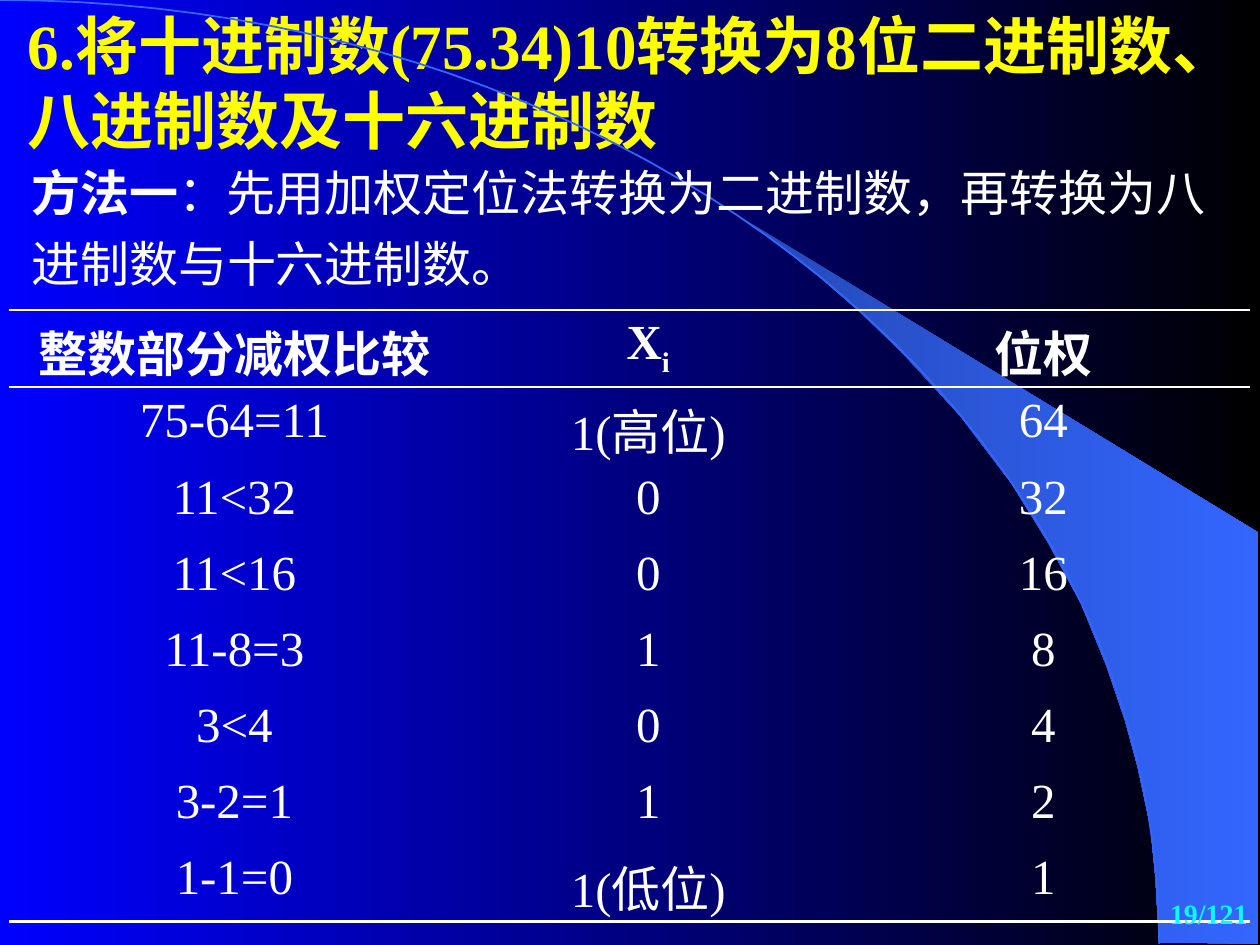
"""Build a slide that converts a decimal number by comparing place weights."""
from lxml import etree
from pptx import Presentation
from pptx.dml.color import RGBColor
from pptx.enum import text as t
from pptx.oxml import ns
from pptx.util import Inches, Pt

WHITE = RGBColor(255, 255, 255)
BLACK = RGBColor(0, 0, 0)
BLUE = RGBColor(0, 0, 255)
SKY = RGBColor(0x33, 0x66, 0xFF)
NAVY = RGBColor(0x24, 0x49, 0xB6)
YELLOW = RGBColor(255, 255, 0)
CYAN = RGBColor(0, 255, 255)
SERIF = "Times New Roman"
SANS = "Noto Sans CJK SC"
PLAIN = "{2D5ABB26-0587-4C30-8999-92F81FD0307C}"

BEAM = [(9.2, 7.48), (9.99, 7.49), (9.99, 4.23), (5.89, 1.73), (6.24, 1.99),
        (6.53, 2.22), (6.85, 2.5), (7.16, 2.8), (7.62, 3.3), (8.03, 3.84),
        (8.32, 4.31), (8.58, 4.79), (8.78, 5.28), (8.93, 5.72), (9.03, 6.09),
        (9.13, 6.56), (9.17, 6.96)]
CURVE = [(0, 0), (5.08, 0), (9.2, 3.35), (9.2, 7.49)]
COLS = [3.58, 2.99, 3.28]
ROWS = [("整数部分减权比较", "X", "位权"),
        ("75-64=11", "1(高位)", "64"),
        ("11<32", "0", "32"),
        ("11<16", "0", "16"),
        ("11-8=3", "1", "8"),
        ("3<4", "0", "4"),
        ("3-2=1", "1", "2"),
        ("1-1=0", "1(低位)", "1")]


def bezier(ends, steps=48):
    """Return points along a cubic curve."""
    def at(k, axis):
        a, b, c, d = (p[axis] for p in ends)
        m = 1 - k
        return a * m**3 + 3 * b * m * m * k + 3 * c * m * k * k + d * k**3
    return [(at(i / steps, 0), at(i / steps, 1)) for i in range(steps + 1)]


class Deck:
    """Hold the style and the current slide."""

    def __init__(self):
        self.prs = Presentation()
        self.prs.slide_width, self.prs.slide_height = Inches(10), Inches(7.5)
        self.slide = self.prs.slides.add_slide(self.prs.slide_layouts[5])
        self.shade(self.slide.background.fill, BLUE, BLACK)

    def shade(self, fill, first, last):
        """Fill with a gradient from left to right."""
        fill.gradient()
        fill.gradient_angle = 0
        for stop, color, pos in zip(fill.gradient_stops, (first, last), (0, 1)):
            stop.color.rgb, stop.position = color, pos

    def style(self, para, size, color, bold=None, face=SERIF, align=t.PP_ALIGN.LEFT):
        """Format one paragraph."""
        para.alignment = align
        font = para.font
        font.name, font.size, font.bold = face, Pt(size), bold
        font.color.rgb = color

    def place(self, shape, box, anchor=t.MSO_ANCHOR.TOP):
        """Set the box of a shape and return its first paragraph."""
        shape.left, shape.top, shape.width, shape.height = map(Inches, box)
        frame = shape.text_frame
        frame.word_wrap, frame.auto_size = True, t.MSO_AUTO_SIZE.NONE
        frame.vertical_anchor = anchor
        return frame.paragraphs[0]

    def title(self, words, box):
        """Fill the title placeholder."""
        para = self.place(self.slide.shapes.title, box)
        para.text = words
        self.style(para, 36, YELLOW, True)

    def text(self, runs, box, size, color, anchor=t.MSO_ANCHOR.TOP, space=None, **look):
        """Add a text box of (words, bold) runs."""
        para = self.place(self.slide.shapes.add_textbox(0, 0, 0, 0), box, anchor)
        para.line_spacing = space
        for words, bold in runs:
            run = para.add_run()
            run.text, run.font.bold = words, bold
        self.style(para, size, color, **look)

    def shape(self, points, closed):
        """Add an outline through points."""
        spots = [(Inches(x), Inches(y)) for x, y in points]
        draw = self.slide.shapes.build_freeform(*spots[0])
        draw.add_line_segments(spots[1:], close=closed)
        form = draw.convert_to_shape()
        form.shadow.inherit = False
        return form

    def beam(self, points):
        """Add the shaded beam."""
        form = self.shape(points, True)
        self.shade(form.fill, NAVY, SKY)
        form.line.fill.background()

    def arc(self, ends):
        """Add the thin curve."""
        form = self.shape(bezier(ends), False)
        form.fill.background()
        form.line.color.rgb, form.line.width = SKY, Pt(1)

    def rule(self, cell, sides):
        """Draw white borders on the given sides of a cell and clear the rest."""
        props = cell._tc.get_or_add_tcPr()
        for spot, side in enumerate("LRTB"):
            line = etree.Element(ns.qn(f"a:ln{side}"), w=str(Pt(1.5)))
            if side in sides:
                fill = etree.SubElement(line, ns.qn("a:solidFill"))
                etree.SubElement(fill, ns.qn("a:srgbClr"), val=str(WHITE))
            else:
                etree.SubElement(line, ns.qn("a:noFill"))
            props.insert(spot, line)

    def table(self, rows, cols, box):
        """Add the table of weights."""
        grid = self.slide.shapes.add_table(len(rows), len(cols), *map(Inches, box)).table
        grid.first_row = grid.horz_banding = False
        grid._tbl.tblPr.find(ns.qn("a:tableStyleId")).text = PLAIN
        for col, width in zip(grid.columns, cols):
            col.width = Inches(width)
        sides = {0: "TB", 1: "T", len(rows) - 1: "B"}
        for r, row in enumerate(rows):
            for c, words in enumerate(row):
                cell = grid.cell(r, c)
                cell.fill.background()
                cell.margin_bottom = 0
                para = cell.text_frame.paragraphs[0]
                para.text = words
                self.style(para, 28, WHITE, r == 0, align=t.PP_ALIGN.CENTER)
                self.rule(cell, sides.get(r, ""))
        sub = grid.cell(0, 1).text_frame.paragraphs[0].add_run()
        sub.text = "i"
        sub.font._element.set("baseline", "-25000")


def main():
    """Build and save the slide."""
    deck = Deck()
    deck.beam(BEAM)
    deck.arc(CURVE)
    deck.title("6.将十进制数(75.34)10转换为8位二进制数、八进制数及十六进制数",
               (0.12, 0, 9.8, 1.31))
    deck.text([("方法一", True),
               ("：先用加权定位法转换为二进制数，再转换为八进制数与十六进制数。", False)],
              (0.15, 1.15, 9.85, 1.16), 28, WHITE, space=1.2, face=SANS)
    deck.table(ROWS, COLS, (0.07, 2.46, sum(COLS), 4.83))
    deck.text([("19/121", True)], (8.78, 7, 1.22, 0.5), 16, CYAN,
              anchor=t.MSO_ANCHOR.MIDDLE, align=t.PP_ALIGN.RIGHT)
    deck.prs.save("out.pptx")


if __name__ == "__main__":
    main()
